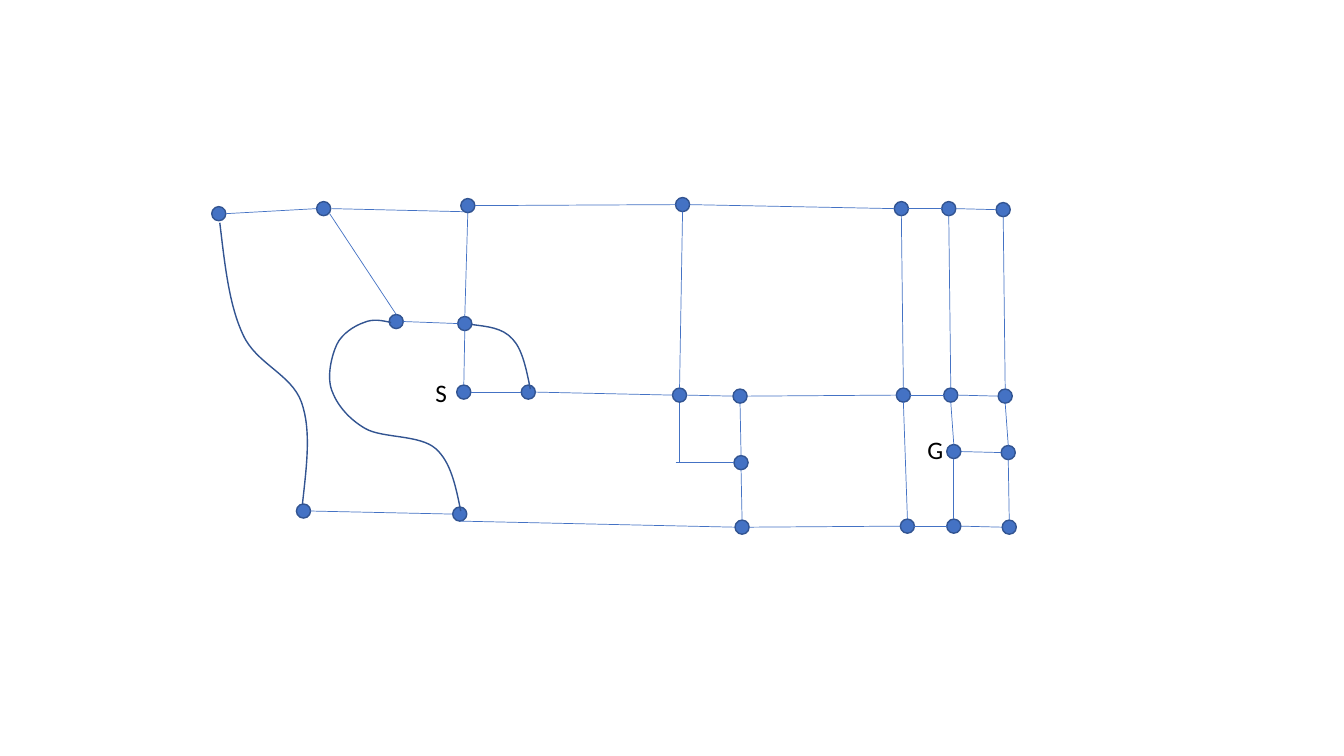
from itertools import pairwise

from pptx import Presentation
from pptx.dml.color import RGBColor
from pptx.enum.shapes import MSO_CONNECTOR, MSO_SHAPE
from pptx.enum.text import MSO_AUTO_SIZE
from pptx.oxml.ns import qn
from pptx.util import Inches, Pt

COLORS = {"node": "4472C4", "outline": "325491", "edge": "4472C4", "label": "000000"}
NODE_SIZE = 0.14
RADIUS = NODE_SIZE / 2

NODES = {
    "start": (4.53, 3.82), "start_north": (4.54, 3.14), "start_east": (5.17, 3.82),
    "mid_c": (6.67, 3.85), "mid_d": (7.27, 3.86), "mid_e": (8.89, 3.85),
    "mid_f": (9.36, 3.85), "mid_g": (9.9, 3.86),
    "top_a": (2.1, 2.05), "top_b": (3.14, 2), "top_c": (4.57, 1.97),
    "top_d": (6.7, 1.96), "top_e": (8.87, 2), "top_f": (9.34, 2), "top_g": (9.88, 2.01),
    "loop": (3.86, 3.12), "spur": (7.28, 4.52),
    "goal": (9.39, 4.41), "goal_east": (9.93, 4.42),
    "low_a": (2.94, 5), "low_b": (4.49, 5.03), "low_d": (7.29, 5.16),
    "low_e": (8.93, 5.15), "low_f": (9.39, 5.15), "low_g": (9.94, 5.16),
}

ROWS = [
    ("top_a", "top_b"),
    ("top_c", "top_d", "top_e", "top_f", "top_g"),
    ("loop", "start_north"),
    ("start", "start_east", "mid_c", "mid_d", "mid_e", "mid_f", "mid_g"),
    ("goal", "goal_east"),
    ("low_a", "low_b"),
    ("low_d", "low_e", "low_f", "low_g"),
]

COLUMNS = [
    ("top_c", "start_north", "start"),
    ("top_d", "mid_c"),
    ("mid_d", "spur", "low_d"),
    ("top_e", "mid_e", "low_e"),
    ("top_f", "mid_f", "goal", "low_f"),
    ("top_g", "mid_g", "goal_east", "low_g"),
]

LOOSE_EDGES = [
    ((3.27, 2.12), (3.93, 3.12)),
    ((3.29, 2.07), (4.59, 2.1)),
    ((4.56, 5.17), (7.29, 5.23)),
    ((6.74, 4), (6.74, 4.59)),
    ((6.7, 4.59), (7.28, 4.59)),
]

CURVES = [
    [(5.26, 3.86), (5.22, 3.66), (5.18, 3.46), (5.08, 3.36),
     (4.98, 3.25), (4.83, 3.24), (4.68, 3.22)],
    [(3, 5), (3.04, 4.63), (3.09, 4.27), (2.99, 3.99),
     (2.89, 3.71), (2.54, 3.61), (2.41, 3.32),
     (2.27, 3.02), (2.23, 2.62), (2.18, 2.21)],
    [(3.88, 3.2), (3.79, 3.18), (3.7, 3.16), (3.61, 3.2),
     (3.52, 3.23), (3.39, 3.31), (3.34, 3.42),
     (3.29, 3.53), (3.24, 3.73), (3.29, 3.87),
     (3.34, 4.01), (3.45, 4.15), (3.62, 4.25),
     (3.79, 4.35), (4.16, 4.31), (4.32, 4.45),
     (4.47, 4.58), (4.52, 4.82), (4.57, 5.07)],
]

LABELS = {"G": (9.1, 4.26, 0.36, 0.4), "S": (4.22, 3.69, 0.32, 0.4)}
LABEL_FRAME = {"word_wrap": False, "auto_size": MSO_AUTO_SIZE.SHAPE_TO_FIT_TEXT}
LABEL_FONT = {"name": "Calibri", "size": Pt(18)}


def color(name):
    return RGBColor.from_string(COLORS[name])


def set_all(target, values):
    for name, value in values.items():
        setattr(target, name, value)


def set_line(line, name, width):
    line.color.rgb = color(name)
    line.width = Pt(width)


def add_node(shapes, corner):
    node = shapes.add_shape(MSO_SHAPE.OVAL, *map(Inches, (*corner, NODE_SIZE, NODE_SIZE)))
    node.shadow.inherit = False
    node.fill.solid()
    node.fill.fore_color.rgb = color("node")
    set_line(node.line, "outline", 1)


def add_edge(shapes, begin, end):
    edge = shapes.add_connector(MSO_CONNECTOR.STRAIGHT, *map(Inches, (*begin, *end)))
    set_line(edge.line, "edge", 0.5)
    properties = edge._element.spPr
    properties.append(properties.makeelement(qn("a:effectLst"), {}))


def add_chain(shapes, names, step_x, step_y):
    for first, second in pairwise(names):
        (x1, y1), (x2, y2) = NODES[first], NODES[second]
        begin = (x1 + RADIUS + step_x, y1 + RADIUS + step_y)
        end = (x2 + RADIUS - step_x, y2 + RADIUS - step_y)
        add_edge(shapes, begin, end)


def add_curve(shapes, points):
    start, *rest = [tuple(map(Inches, point)) for point in points]
    builder = shapes.build_freeform(*start)
    builder.add_line_segments(rest, close=False)
    curve = builder.convert_to_shape()
    curve.shadow.inherit = False
    curve.fill.background()
    set_line(curve.line, "outline", 1)
    segments = curve._element.xpath(".//a:lnTo")
    for index in range(0, len(segments), 3):
        outline = segments[index].getparent()
        bezier = outline.makeelement(qn("a:cubicBezTo"), {})
        segments[index].addprevious(bezier)
        for segment in segments[index:index + 3]:
            bezier.append(segment[0])
            outline.remove(segment)


def add_label(shapes, text, box):
    frame = shapes.add_textbox(*map(Inches, box)).text_frame
    set_all(frame, LABEL_FRAME)
    run = frame.paragraphs[0].add_run()
    run.text = text
    set_all(run.font, LABEL_FONT)
    run.font.color.rgb = color("label")


def main():
    deck = Presentation()
    deck.slide_width, deck.slide_height = Inches(13.33), Inches(7.5)
    shapes = deck.slides.add_slide(deck.slide_layouts[6]).shapes
    for corner in NODES.values():
        add_node(shapes, corner)
    for row in ROWS:
        add_chain(shapes, row, RADIUS, 0)
    for column in COLUMNS:
        add_chain(shapes, column, 0, RADIUS)
    for begin, end in LOOSE_EDGES:
        add_edge(shapes, begin, end)
    for points in CURVES:
        add_curve(shapes, points)
    for text, box in LABELS.items():
        add_label(shapes, text, box)
    deck.save("out.pptx")


main()
